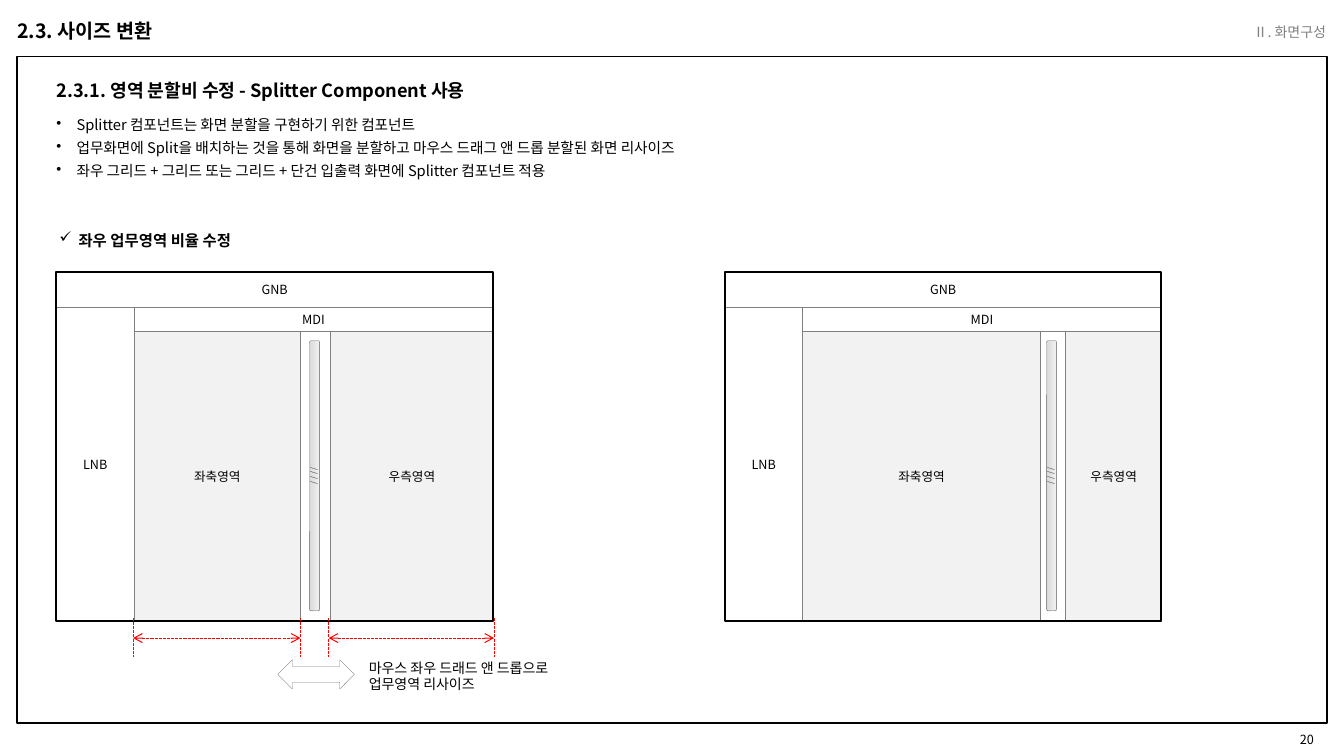
from lxml.etree import SubElement
from pptx import Presentation
from pptx.dml.color import RGBColor
from pptx.enum.dml import MSO_LINE
from pptx.enum.shapes import MSO_CONNECTOR, MSO_SHAPE
from pptx.enum.text import MSO_ANCHOR, MSO_AUTO_SIZE, PP_ALIGN
from pptx.oxml.ns import qn
from pptx.util import Inches, Pt

FONT = "Noto Sans CJK KR"
HUES = {
    "black": "000000",
    "white": "FFFFFF",
    "red": "FF0000",
    "gray": "808080",
    "dark": "595959",
    "ink": "404040",
    "pale": "F2F2F2",
    "dim": "D9D9D9",
}


class Sheet:
    def __init__(self, slide):
        self.slide = slide
        self.shapes = slide.shapes

    def hue(self, name):
        return RGBColor.from_string(HUES[name])

    def group(self):
        self.shapes = self.slide.shapes.add_group_shape().shapes

    def leave(self):
        self.shapes = self.slide.shapes

    def place(self, shape, box):
        shape.left, shape.top, shape.width, shape.height = map(Inches, box)

    def words(self, para, text, size, color="black", bold=False, align=PP_ALIGN.LEFT):
        para.alignment = align
        run = para.add_run()
        run.text = text
        font = run.font
        font.name, font.size, font.bold = FONT, Pt(size), bold
        font.color.rgb = self.hue(color)
        SubElement(font._element, qn("a:ea"), typeface=FONT)

    def mark(self, para, sign, gap):
        props = para._p.get_or_add_pPr()
        props.set("marL", str(Inches(gap)))
        props.set("indent", str(-Inches(gap)))
        SubElement(props, qn("a:buChar"), char=sign)

    def frame(self, shape, wrap=True, grow=True, inset=None, anchor=MSO_ANCHOR.TOP):
        body = shape.text_frame
        body.word_wrap = wrap
        body.auto_size = MSO_AUTO_SIZE.SHAPE_TO_FIT_TEXT if grow else MSO_AUTO_SIZE.NONE
        body.vertical_anchor = anchor
        if inset is not None:
            body.margin_left = body.margin_right = Inches(inset)
            body.margin_top = body.margin_bottom = Inches(inset)
        return body

    def title(self, text, box, size):
        shape = self.slide.shapes.title
        self.place(shape, box)
        body = self.frame(shape, wrap=False)
        self.words(body.paragraphs[0], text, size, bold=True)

    def text(self, lines, box, size, color="black", bold=False, align=PP_ALIGN.LEFT,
             sign=None, gap=0.2, space=0, lead=None, **form):
        body = self.frame(self.shapes.add_textbox(*map(Inches, box)), **form)
        for i, line in enumerate(lines):
            para = body.add_paragraph() if i else body.paragraphs[0]
            if sign:
                self.mark(para, sign, gap)
            if i:
                para.space_before = Pt(space)
            if lead:
                para.line_spacing = lead
            self.words(para, line, size, color, bold, align)

    def shape(self, kind, box, fill=None, line="gray", width=0.5, turn=0,
              text=None, size=9, color="black"):
        shape = self.shapes.add_shape(kind, *map(Inches, box))
        shape.shadow.inherit = False
        shape.rotation = turn
        if isinstance(fill, tuple):
            shape.fill.gradient()
            shape.fill.gradient_angle = 270
            for stop, name in zip(shape.fill.gradient_stops, fill):
                stop.color.rgb = self.hue(name)
        elif fill:
            shape.fill.solid()
            shape.fill.fore_color.rgb = self.hue(fill)
        else:
            shape.fill.background()
        shape.line.color.rgb = self.hue(line)
        shape.line.width = Pt(width)
        if text:
            body = self.frame(shape, wrap=False, grow=False, anchor=MSO_ANCHOR.MIDDLE)
            self.words(body.paragraphs[0], text, size, color, align=PP_ALIGN.CENTER)
        return shape

    def line(self, start, end, heads=False):
        line = self.shapes.add_connector(MSO_CONNECTOR.STRAIGHT, *map(Inches, start + end))
        line.line.color.rgb = self.hue("red")
        line.line.width = Pt(0.75)
        line.line.dash_style = MSO_LINE.SQUARE_DOT
        if heads:
            for tag in ("a:headEnd", "a:tailEnd"):
                SubElement(line.line._ln, qn(tag), type="arrow")
        SubElement(line._element.spPr, qn("a:effectLst"))

    def panel(self, left, wide, right, bar):
        rect = MSO_SHAPE.RECTANGLE
        edge, inner = left + 4.33, left + 0.77
        cells = [
            ("우측영역", (edge - right, 3.29, right, 2.87), "pale"),
            ("좌축영역", (inner, 3.29, wide, 2.87), "pale"),
            ("GNB", (left, 2.7, 4.33, 0.35), "white"),
            ("MDI", (inner, 3.05, 3.56, 0.24), "white"),
            ("LNB", (left, 3.05, 0.77, 3.11), "white"),
        ]
        for name, box, fill in cells:
            self.shape(rect, box, fill, text=name)
        self.shape(rect, (left, 2.7, 4.33, 3.46), line="black", width=1.5)
        self.shape(MSO_SHAPE.ROUNDED_RECTANGLE, (bar - 1.34, 4.67, 2.68, 0.1),
                   ("pale", "dim"), "dark", 0.25, 90, "/ / / /", 5.5, "ink")


def main():
    deck = Presentation()
    deck.slide_width, deck.slide_height = Inches(13.33), Inches(7.5)
    sheet = Sheet(deck.slides.add_slide(deck.slide_layouts[5]))
    mid = MSO_ANCHOR.MIDDLE

    sheet.shape(MSO_SHAPE.RECTANGLE, (0.17, 0.56, 12.99, 6.61), line="black", width=1.3)
    sheet.text(["20"], (12.44, 7.18, 0.69, 0.31), 9, align=PP_ALIGN.RIGHT,
               grow=False, anchor=mid)
    sheet.text(["2.3.1. 영역 분할비 수정 - Splitter Component 사용"],
               (0.56, 0.7, 9.84, 0.28), 13, bold=True, lead=1.5, inset=0, anchor=mid)
    sheet.text([
        "Splitter 컴포넌트는 화면 분할을 구현하기 위한 컴포넌트",
        "업무화면에 Split을 배치하는 것을 통해 화면을 분할하고 마우스 드래그 앤 드롭 분할된 화면 리사이즈",
        "좌우 그리드 + 그리드 또는 그리드 + 단건 입출력 화면에 Splitter 컴포넌트 적용",
    ], (0.56, 1.15, 10.55, 0.67), 10.5, sign="•", space=4, inset=0)
    sheet.text(["Ⅱ. 화면구성"], (11.52, 0.13, 1.73, 0.38), 10, "gray",
               align=PP_ALIGN.RIGHT, grow=False, anchor=mid)
    sheet.title("2.3. 사이즈 변환", (0.07, 0.14, 1.6, 0.34), 14)
    sheet.text(["좌우 업무영역 비율 수정"], (0.49, 2.24, 4.41, 0.29), 11,
               bold=True, sign="✓", gap=0.19)

    sheet.group()
    sheet.panel(0.56, 1.65, 1.61, 3.12)
    sheet.group()
    spans = [(1.32, 2.98), (3.26, 4.9)]
    for span in spans:
        for x in span:
            sheet.line((x, 6.13), (x, 6.52))
        sheet.line((span[0], 6.33), (span[1], 6.33), heads=True)
    arrow = sheet.shape(MSO_SHAPE.UP_DOWN_ARROW, (2.99, 6.31, 0.29, 0.76),
                        "white", width=0.25, turn=90)
    arrow.adjustments[0], arrow.adjustments[1] = 0.45, 0.54
    sheet.leave()
    sheet.text(["마우스 좌우 드래드 앤 드롭으로 업무영역 리사이즈"], (3.56, 6.49, 2.36, 0.44), 10)
    sheet.panel(7.19, 2.36, 0.95, 10.43)

    deck.save("out.pptx")


if __name__ == "__main__":
    main()
